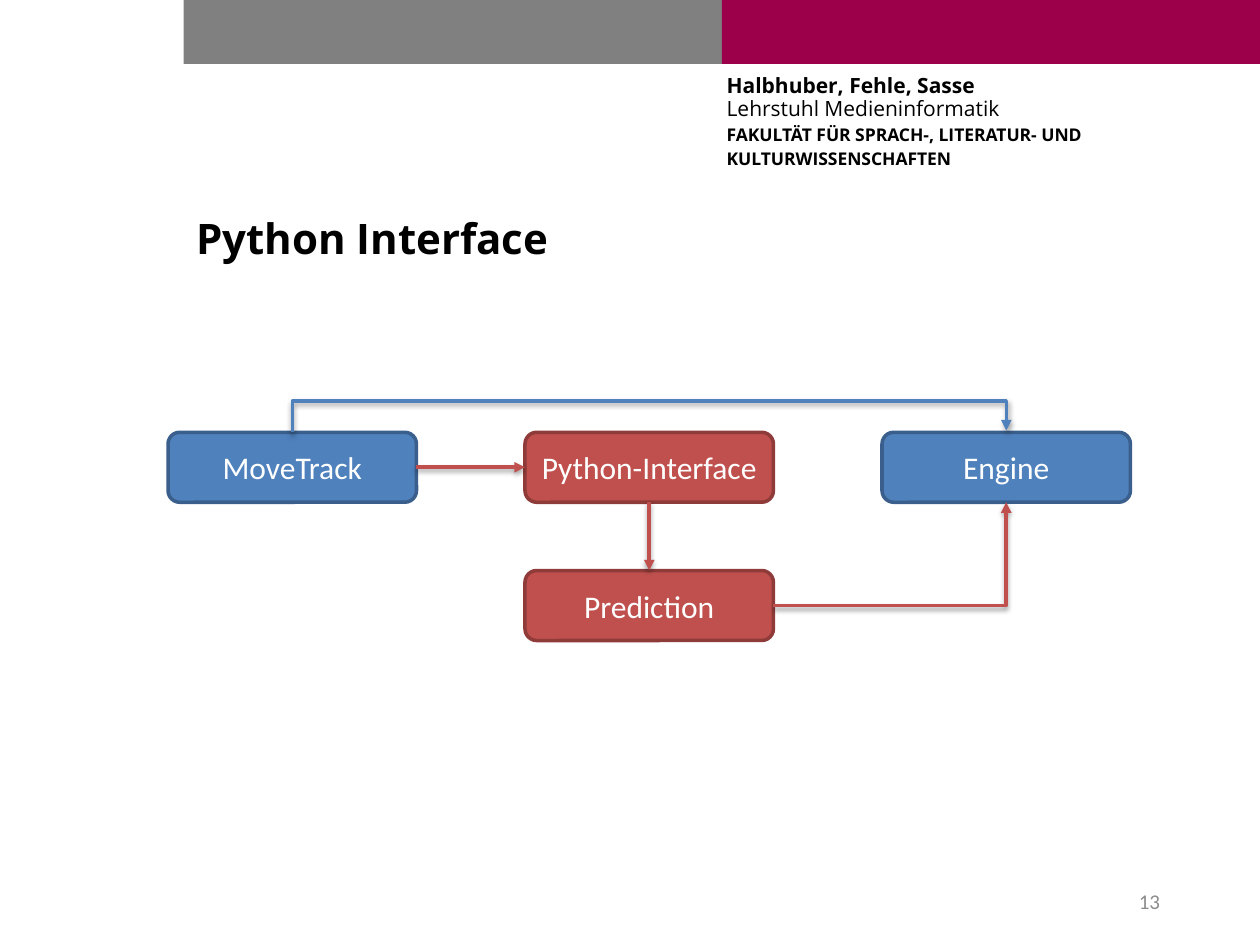
from lxml import etree
from pptx import Presentation
from pptx.dml.color import RGBColor
from pptx.enum.shapes import MSO_CONNECTOR as Connector, MSO_SHAPE as Shape
from pptx.enum.text import MSO_ANCHOR as Anchor, PP_ALIGN as Align
from pptx.oxml import parse_xml
from pptx.oxml.ns import nsdecls, qn
from pptx.util import Pt

BLUE, BLUE_EDGE = "4F81BD", "3A5F8C"
RED, RED_EDGE = "C0504D", "8E3B39"
BOX_WIDTH, BOX_HEIGHT = 142, 40
LEFT, TOP = 96, 247
COLUMN_STEP, ROW_STEP = 204, 79
SHADOW = (
    f'<a:effectLst {nsdecls("a")}><a:outerShdw blurRad="{Pt(3.1)}" '
    f'dist="{Pt(1.6)}" dir="5400000" rotWithShape="0"><a:srgbClr val="000000">'
    '<a:alpha val="38000"/></a:srgbClr></a:outerShdw></a:effectLst>'
)


def color(value):
    return RGBColor.from_string(value)


class SlideBuilder:
    body_font = "Calibri"
    heading_font = "Open Sans"
    line_width = 2

    def __init__(self, slide):
        self.slide = slide

    def format_run(self, run, size, ink, font, bold=False):
        run.font.size = Pt(size)
        run.font.color.rgb = color(ink)
        run.font.name = font
        run.font.bold = bold

    def shape(self, kind, left, top, width, height, fill, edge=None):
        shape = self.slide.shapes.add_shape(
            kind, Pt(left), Pt(top), Pt(width), Pt(height))
        shape.shadow.inherit = False
        shape.fill.solid()
        shape.fill.fore_color.rgb = color(fill)
        if edge:
            shape.line.color.rgb = color(edge)
            shape.line.width = Pt(self.line_width)
        else:
            shape.line.fill.background()
        return shape

    def box(self, text, column, row, fill, edge):
        shape = self.shape(
            Shape.ROUNDED_RECTANGLE, LEFT + column * COLUMN_STEP,
            TOP + row * ROW_STEP, BOX_WIDTH, BOX_HEIGHT, fill, edge)
        frame = shape.text_frame
        frame.text = text
        frame.vertical_anchor = Anchor.MIDDLE
        paragraph = frame.paragraphs[0]
        paragraph.alignment = Align.CENTER
        self.format_run(paragraph.runs[0], 18, "FFFFFF", self.body_font)
        return shape

    def text(self, text, left, top, width, height, size, ink, font, bold=False):
        frame = self.slide.shapes.add_textbox(
            Pt(left), Pt(top), Pt(width), Pt(height)).text_frame
        frame.word_wrap = True
        frame.text = text
        for paragraph in frame.paragraphs:
            for run in paragraph.runs:
                self.format_run(run, size, ink, font, bold)
        return frame

    def arrow(self, kind, start, end, ink):
        connector = self.slide.shapes.add_connector(
            kind, *(Pt(value) for value in (*start, *end)))
        connector.line.color.rgb = color(ink)
        connector.line.width = Pt(self.line_width)
        etree.SubElement(connector.line._get_or_add_ln(),
                         qn("a:tailEnd"), type="triangle")
        connector._element.spPr.append(parse_xml(SHADOW))
        return connector

    def straight(self, source, source_side, target, target_side, ink):
        connector = self.arrow(Connector.STRAIGHT, (0, 0), (0, 0), ink)
        connector.begin_connect(source, source_side)
        connector.end_connect(target, target_side)

    def corner(self, start, end, ink):
        connector = self.arrow(Connector.ELBOW, start, end, ink)
        connector._element.spPr.find(qn("a:prstGeom")).set("prst", "bentConnector2")

    def bridge(self, left, right, base, rise, ink):
        # A one-point-wide elbow turned by 90 degrees; its bend lies outside
        span, middle = right - left, (left + right) / 2
        center = base - 0.5
        connector = self.arrow(
            Connector.ELBOW, (middle + 0.5, center + span / 2),
            (middle - 0.5, center - span / 2), ink)
        connector.rotation = 90
        geometry = connector._element.spPr.find(qn("a:prstGeom"))
        guides = geometry.get_or_add_avLst()
        etree.SubElement(guides, qn("a:gd"), name="adj1",
                         fmla=f"val {rise * 100000}")


def main():
    presentation = Presentation()
    presentation.slide_width, presentation.slide_height = Pt(720), Pt(540)
    slide = presentation.slides.add_slide(presentation.slide_layouts[6])
    builder = SlideBuilder(slide)

    # Header bars
    for left, fill in ((105, "808080"), (412.5, "9C004B")):
        builder.shape(Shape.RECTANGLE, left, 0, 307.5, 36.5, fill)

    # Department details
    header = builder.text(
        "Halbhuber, Fehle, Sasse\vLehrstuhl Medieninformatik\n"
        "FAKULTÄT FÜR SPRACH-, LITERATUR- UND\nKULTURWISSENSCHAFTEN",
        415.25, 43.2, 291, 67.7, 10, "000000", builder.heading_font, True)
    header.margin_left = header.margin_right = 0
    header.margin_top = header.margin_bottom = 0
    for paragraph in header.paragraphs:
        paragraph.space_after = Pt(3)
        paragraph.line_spacing = 0.9
    for run, bold in zip(header.paragraphs[0].runs, (True, False)):
        builder.format_run(run, 12, "000000", builder.heading_font, bold)

    # Title and slide number
    builder.text("Python Interface", 105, 118, 566, 55, 24, "000000",
                 builder.heading_font, True)
    number = builder.text("13", 508, 500.5, 162, 28.75, 12, "8C8C8C",
                          builder.body_font)
    number.vertical_anchor = Anchor.MIDDLE
    number.paragraphs[0].alignment = Align.RIGHT

    # Boxes
    tracker = builder.box("MoveTrack", 0, 0, BLUE, BLUE_EDGE)
    interface = builder.box("Python-Interface", 1, 0, RED, RED_EDGE)
    builder.box("Engine", 2, 0, BLUE, BLUE_EDGE)
    prediction = builder.box("Prediction", 1, 1, RED, RED_EDGE)

    # Arrows
    first_center = LEFT + BOX_WIDTH / 2
    last_center = first_center + 2 * COLUMN_STEP
    builder.bridge(first_center, last_center, TOP, 18, BLUE)
    builder.straight(tracker, 3, interface, 1, RED)
    builder.straight(interface, 2, prediction, 0, RED)
    builder.corner((LEFT + COLUMN_STEP + BOX_WIDTH, TOP + ROW_STEP + BOX_HEIGHT / 2),
                   (last_center, TOP + BOX_HEIGHT), RED)

    presentation.save("out.pptx")


if __name__ == "__main__":
    main()
